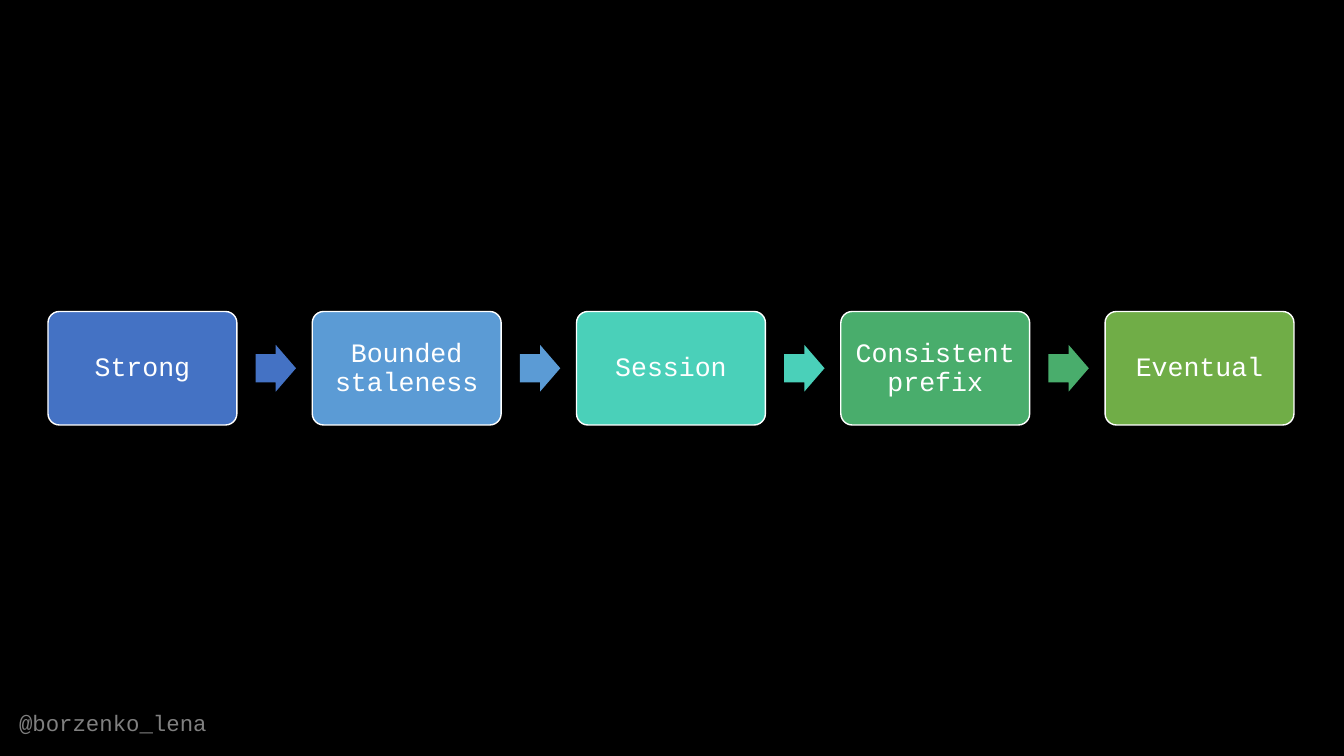
"""Build a slide showing five consistency levels from strong to eventual."""
from dataclasses import dataclass

from pptx import Presentation
from pptx.dml.color import RGBColor as RGB
from pptx.enum.shapes import MSO_SHAPE as SHAPE
from pptx.enum.text import MSO_ANCHOR as ANCHOR, PP_ALIGN as ALIGN
from pptx.util import Cm, Pt

LEVELS = [
    ("Strong", "4472C4"),
    ("Bounded staleness", "5B9BD5"),
    ("Session", "4AD0B9"),
    ("Consistent prefix", "49AD6C"),
    ("Eventual", "70AD47"),
]
HANDLE = "@borzenko_lena"


@dataclass(frozen=True)
class Theme:
    font: str = "Courier New"
    background: str = "000000"
    text: str = "FFFFFF"
    muted: str = "808080"
    level_size: int = 19
    handle_size: int = 16
    outline: int = 1


THEME = Theme()
SLIDE_W, SLIDE_H = 33.87, 19.05
LEFT, PITCH, MIDDLE = 1.21, 6.66, 9.28
BOX_W, BOX_H, INSET = 4.76, 2.86, 0.2
ARROW_SHIFT, ARROW_W, ARROW_H = 5.23, 1.02, 1.18


def add_block(slide, kind, x, w, h, color, adjustments):
    """Add a filled shape centred on the chain's middle line."""
    sp = slide.shapes.add_shape(kind, Cm(x), Cm(MIDDLE - h / 2), Cm(w), Cm(h))
    sp.shadow.inherit = False
    sp.fill.solid()
    sp.fill.fore_color.rgb = RGB.from_string(color)
    sp.line.fill.background()
    for i, value in enumerate(adjustments):
        sp.adjustments[i] = value
    return sp


def write(tf, text, size, color):
    """Set one styled paragraph and return it."""
    tf.text = text
    p = tf.paragraphs[0]
    font = p.runs[0].font
    font.name, font.size = THEME.font, Pt(size)
    font.color.rgb = RGB.from_string(color)
    return p


def add_level(slide, x, name, color):
    """Add one outlined, labelled level box."""
    sp = add_block(slide, SHAPE.ROUNDED_RECTANGLE, x, BOX_W, BOX_H, color, [0.1])
    sp.line.color.rgb = RGB.from_string(THEME.text)
    sp.line.width = Pt(THEME.outline)
    tf = sp.text_frame
    tf.word_wrap = True
    tf.vertical_anchor = ANCHOR.MIDDLE
    tf.margin_left = tf.margin_right = tf.margin_top = tf.margin_bottom = Cm(INSET)
    p = write(tf, name, THEME.level_size, THEME.text)
    p.alignment = ALIGN.CENTER
    p.line_spacing = 0.9


def add_handle(slide):
    """Add the speaker's handle in the bottom left corner."""
    sp = slide.shapes.add_textbox(Cm(0.23), Cm(17.75), Cm(5.44), Cm(1.02))
    sp.fill.solid()
    sp.fill.fore_color.rgb = RGB.from_string(THEME.background)
    sp.text_frame.word_wrap = True
    write(sp.text_frame, HANDLE, THEME.handle_size, THEME.muted)


def main():
    """Lay out the chain and save the presentation."""
    prs = Presentation()
    prs.slide_width, prs.slide_height = Cm(SLIDE_W), Cm(SLIDE_H)
    slide = prs.slides.add_slide(prs.slide_layouts[6])
    slide.background.fill.solid()
    slide.background.fill.fore_color.rgb = RGB.from_string(THEME.background)

    add_handle(slide)
    for i, (name, color) in enumerate(LEVELS):
        x = LEFT + i * PITCH
        add_level(slide, x, name, color)
        if i < len(LEVELS) - 1:
            add_block(slide, SHAPE.RIGHT_ARROW, x + ARROW_SHIFT,
                      ARROW_W, ARROW_H, color, [0.6, 0.5])
    prs.save("out.pptx")


if __name__ == "__main__":
    main()
